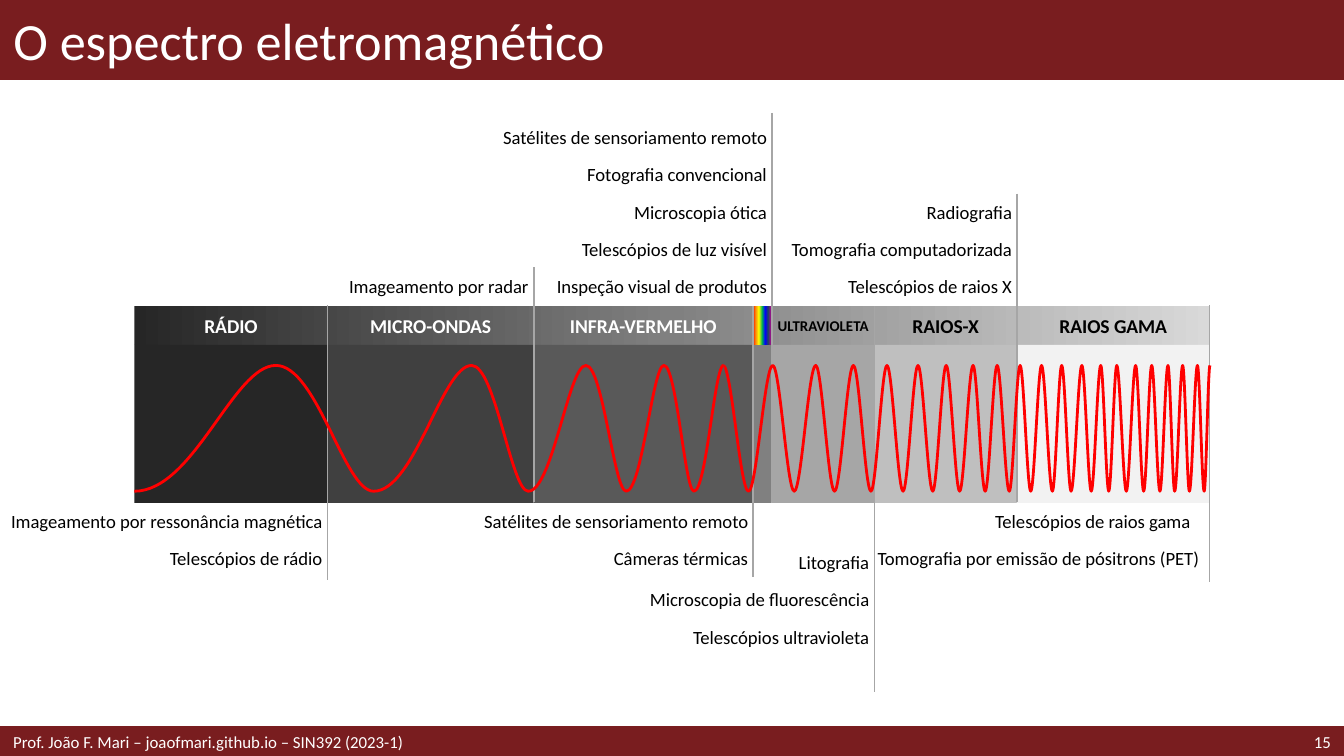
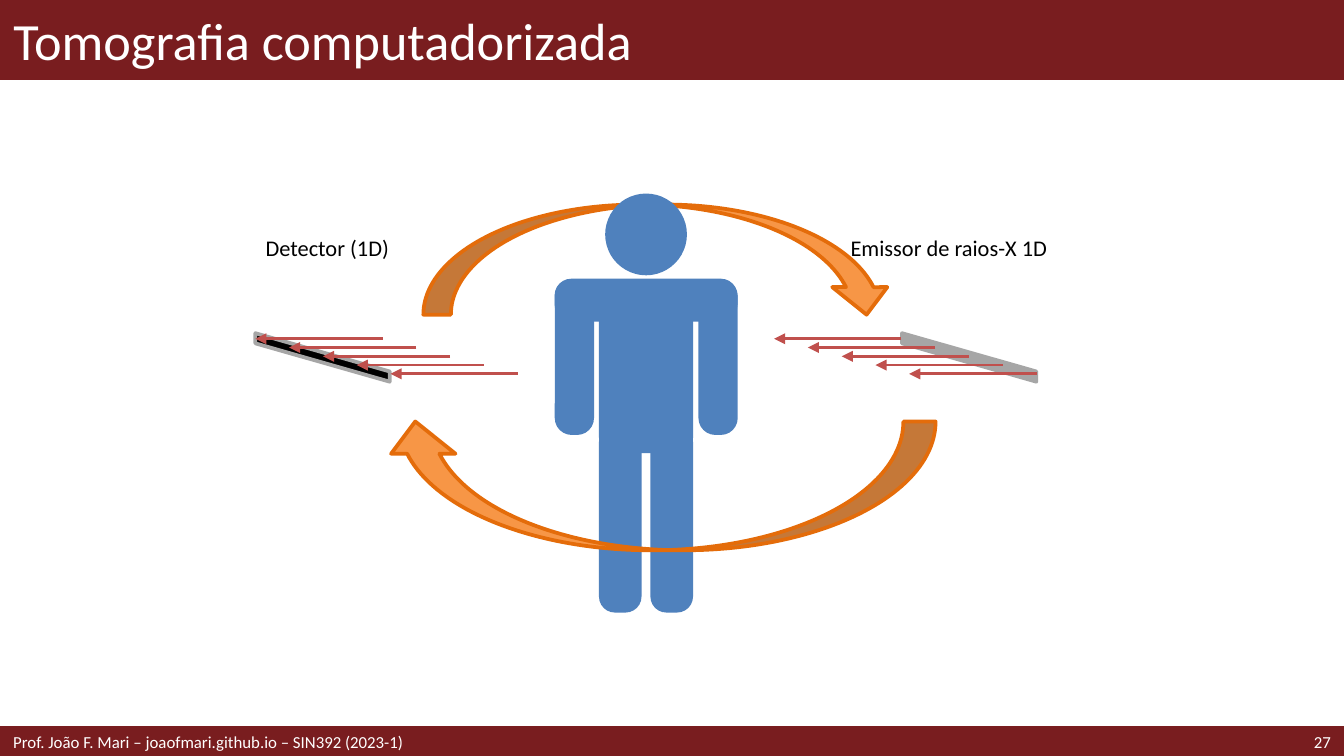
from dataclasses import dataclass
from itertools import pairwise

from lxml.etree import SubElement
from pptx import Presentation
from pptx.dml.color import RGBColor
from pptx.enum.shapes import MSO_CONNECTOR, MSO_SHAPE
from pptx.enum.text import MSO_ANCHOR, MSO_AUTO_SIZE, PP_ALIGN
from pptx.oxml.ns import qn
from pptx.util import Pt

FONT = "Calibri"
MAROON, WHITE, BLACK = "791D1F", "FFFFFF", "000000"
GRAY, DARK_GRAY, RED = "A6A6A6", "595959", "FF0000"
ORANGE, DARK_ORANGE, BLUE, RAY_RED = "F79646", "E46C0A", "4F81BD", "C0504D"
WIDTH, HEIGHT = 720, 405
TITLE_HEIGHT, FOOTER_TOP, FOOTER_HEIGHT = 42.5, 390, 15
FOOTER = "Prof. João F. Mari – joaofmari.github.io – SIN392 (2023-1)"

STRIP_TOP, STRIP_HEIGHT, BODY_TOP, BODY_HEIGHT = 163.8, 21, 184.8, 84.6
SPECTRUM_LEFT, SPECTRUM_RIGHT = 72, 648
WAVE_TOP, WAVE_BOTTOM = 195.8, 263.2
LABEL_HEIGHT, LABEL_STEP = 19.4, 19.95
STRIP_STOPS = [(0, "262626"), (50, "808080"), (100, "D9D9D9")]
RAINBOW_STOPS = [(0, "FF0000"), (16, "F9910C"), (32, "FFFF00"), (50, "00B050"),
                 (66, "0000FF"), (82, "233F61"), (100, "CC0099")]
LONG_WAVES = [72, 147.8, 200.2, 252.7, 283, 313.9, 335.5, 355.7, 371.8, 387.6]
SHORT_WAVES = [
    372.2, 387.4, 401, 414, 425.5, 437, 447.1, 457.2, 466.6, 475.2, 483.8,
    491.8, 499.7, 506.9, 514.1, 521.3, 527.8, 534.2, 540.7, 546.5, 552.2,
    558, 563.8, 568.8, 573.8, 579.6, 584.6, 589.7, 594, 598.3, 603.4, 608.4,
    612.7, 617, 621.4, 625.7, 629.3, 633.6, 637.2, 641.5, 645.1, 648.2,
]


@dataclass
class Band:
    """One range of the spectrum and the divider at its right edge."""
    name: str
    right: float
    fill: str
    color: str
    divider_top: float
    divider_bottom: float
    size: float = 10.5


@dataclass
class LabelStack:
    """Lines of (text, width) that share a right edge."""
    right: float
    top: float
    lines: list[tuple[str, float]]
    align: PP_ALIGN = PP_ALIGN.RIGHT


@dataclass
class Part:
    """One piece of the patient figure."""
    left: float
    top: float
    width: float
    height: float
    corner: float | None = None
    rotation: float = 0
    kind: MSO_SHAPE = MSO_SHAPE.ROUNDED_RECTANGLE


BANDS = [
    Band("RÁDIO", 175.5, "262626", WHITE, 163.5, 311),
    Band("MICRO-ONDAS", 286, "404040", WHITE, 143.2, 269.2),
    Band("INFRA-VERMELHO", 403.4, DARK_GRAY, WHITE, 164, 309),
    Band("", 413.5, "808080", WHITE, 60.5, 269.2),
    Band("ULTRAVIOLETA", 468.5, GRAY, BLACK, 164, 370.8, 8),
    Band("RAIOS-X", 544.8, "BFBFBF", BLACK, 103.8, 268.8),
    Band("RAIOS GAMA", SPECTRUM_RIGHT, "F2F2F2", BLACK, 163.5, 311.6),
]
STACKS = [
    LabelStack(175.5, 269.4, [("Imageamento por ressonância magnética", 175.5),
                              ("Telescópios de rádio", 150)]),
    LabelStack(286, 143.8, [("Imageamento por radar", 103.7)]),
    LabelStack(403.6, 269.7, [("Satélites de sensoriamento remoto", 149.8),
                              ("Câmeras térmicas", 79)]),
    LabelStack(413.7, 63.9, [("Satélites de sensoriamento remoto", 149.8),
                             ("Fotografia convencional", 103.7),
                             ("Microscopia ótica", 77.8),
                             ("Telescópios de luz visível", 110),
                             ("Inspeção visual de produtos", 119.5)]),
    LabelStack(468.5, 291.7, [("Litografia", 44),
                              ("Microscopia de fluorescência", 127.5),
                              ("Telescópios ultravioleta", 105)]),
    LabelStack(545, 103.8, [("Radiografia", 51.8),
                            ("Tomografia computadorizada", 129.6),
                            ("Telescópios de raios X", 95.8)]),
    LabelStack(648.2, 269.7, [("Telescópios de raios gama", 118),
                              ("Tomografia por emissão de pósitrons (PET)", 181)],
               PP_ALIGN.LEFT),
]
PATIENT = [
    Part(297.2, 149.8, 21, 83.2, 0.43),
    Part(334.6, 111.8, 23, 98, 0.39, 90),
    Part(374.2, 149.8, 21, 83.2, 0.43),
    Part(320.9, 149.8, 50.4, 93),
    Part(320.9, 228.2, 22.8, 100, 0.375),
    Part(324.2, 103.7, 43.8, 43.8, kind=MSO_SHAPE.OVAL),
    Part(348.5, 228.2, 22.8, 100, 0.375),
]


def rgb(color: str) -> RGBColor:
    """Turn a hex string into a colour."""
    return RGBColor.from_string(color)


def add_figure(page, kind: MSO_SHAPE, left: float, top: float, width: float,
               height: float, fill: str, line: str | None = None,
               weight: float = 2, rotation: float = 0):
    """Draw a flat preset shape."""
    shape = page.shapes.add_shape(kind, Pt(left), Pt(top), Pt(width), Pt(height))
    shape.shadow.inherit = False
    shape.fill.solid()
    shape.fill.fore_color.rgb = rgb(fill)
    if line:
        shape.line.color.rgb = rgb(line)
        shape.line.width = Pt(weight)
    else:
        shape.line.fill.background()
    shape.rotation = rotation
    return shape


def set_gradient(shape, stops: list[tuple[int, str]]) -> None:
    """Fill a shape with a left-to-right gradient."""
    shape.fill.gradient()
    shape.fill.gradient_angle = 0
    stop_list = shape.element.spPr.find(".//" + qn("a:gsLst"))
    for old_stop in list(stop_list):
        stop_list.remove(old_stop)
    for position, color in stops:
        stop = SubElement(stop_list, qn("a:gs"), pos=str(position * 1000))
        SubElement(stop, qn("a:srgbClr"), val=color)


def write(box, text: str, size: float, color: str,
          align: PP_ALIGN = PP_ALIGN.LEFT, bold: bool = False) -> None:
    """Put one formatted run into a text shape."""
    para = box.text_frame.paragraphs[0]
    para.alignment = align
    span = para.add_run()
    span.text = text
    span.font.name = FONT
    span.font.size = Pt(size)
    span.font.bold = bold
    span.font.color.rgb = rgb(color)


def add_text(page, text: str, left: float, top: float, width: float,
             height: float, size: float, color: str,
             align: PP_ALIGN = PP_ALIGN.LEFT, bold: bool = False,
             side: float = 7.2, edge: float = 3.6,
             anchor: MSO_ANCHOR = MSO_ANCHOR.MIDDLE):
    """Add a one-line text box."""
    box = page.shapes.add_textbox(Pt(left), Pt(top), Pt(width), Pt(height))
    frame = box.text_frame
    frame.word_wrap = True
    frame.vertical_anchor = anchor
    frame.margin_left = frame.margin_right = Pt(side)
    frame.margin_top = frame.margin_bottom = Pt(edge)
    write(box, text, size, color, align, bold)
    return box


def add_line(page, start: tuple[float, float], end: tuple[float, float],
             color: str, weight: float, arrow: bool = False) -> None:
    """Draw a straight line, with an arrowhead at its end if wanted."""
    line = page.shapes.add_connector(MSO_CONNECTOR.STRAIGHT,
                                     *map(Pt, start), *map(Pt, end))
    line.line.color.rgb = rgb(color)
    line.line.width = Pt(weight)
    if arrow:
        outline = line.element.spPr.find(qn("a:ln"))
        SubElement(outline, qn("a:tailEnd"), type="triangle")
    SubElement(line.element.spPr, qn("a:effectLst"))


def add_page(deck, title: str, number: int):
    """Add a page with the title band, the footer band and their text."""
    page = deck.slides.add_slide(deck.slide_layouts[5])
    bands = [add_figure(page, MSO_SHAPE.RECTANGLE, 0, 0, WIDTH, TITLE_HEIGHT,
                        MAROON, MAROON, 1),
             add_figure(page, MSO_SHAPE.RECTANGLE, 0, FOOTER_TOP, WIDTH,
                        FOOTER_HEIGHT, MAROON, MAROON)]
    box = page.shapes.title
    for band in bands:
        box.element.addprevious(band.element)
    box.left, box.top = Pt(0), Pt(0)
    box.width, box.height = Pt(WIDTH), Pt(TITLE_HEIGHT)
    box.text_frame.vertical_anchor = MSO_ANCHOR.MIDDLE
    box.text_frame.auto_size = MSO_AUTO_SIZE.NONE
    write(box, title, 28, WHITE)
    add_text(page, str(number), 638, FOOTER_TOP, 82, FOOTER_HEIGHT, 9, WHITE,
             PP_ALIGN.RIGHT)
    add_text(page, FOOTER, 0, FOOTER_TOP, 496, FOOTER_HEIGHT, 9, WHITE)
    return page


def add_wave(page, extremes: list[float], first: float, second: float) -> None:
    """Draw a smooth wave with level tangents at its troughs and crests."""
    points = [(Pt(x), Pt(WAVE_TOP if index % 2 else WAVE_BOTTOM))
              for index, x in enumerate(extremes)]
    builder = page.shapes.build_freeform(*points[0], scale=1.0)
    builder.add_line_segments(points[1:], close=False)
    wave = builder.convert_to_shape()
    wave.shadow.inherit = False
    wave.fill.background()
    wave.line.color.rgb = rgb(RED)
    wave.line.width = Pt(1.5)
    outline = wave.element.spPr.find(".//" + qn("a:pathLst"))[0]
    corners = [(int(corner.get("x")), int(corner.get("y")))
               for corner in outline.iter(qn("a:pt"))]
    for segment in outline.findall(qn("a:lnTo")):
        outline.remove(segment)
    for (left, start), (right, end) in pairwise(corners):
        curve = SubElement(outline, qn("a:cubicBezTo"))
        span = right - left
        for x, y in ((left + span * first, start),
                     (left + span * second, end), (right, end)):
            SubElement(curve, qn("a:pt"), x=str(round(x)), y=str(y))


def add_stack(page, stack: LabelStack) -> None:
    """Write the uses of one band, line below line."""
    for row, (text, width) in enumerate(stack.lines):
        box = add_text(page, text, stack.right - width,
                       stack.top + row * LABEL_STEP, width, LABEL_HEIGHT, 10,
                       BLACK, stack.align, side=2.9, anchor=MSO_ANCHOR.TOP)
        box.text_frame.word_wrap = False
        box.text_frame.auto_size = MSO_AUTO_SIZE.SHAPE_TO_FIT_TEXT


def build_spectrum(deck) -> None:
    """Build the electromagnetic spectrum page."""
    page = add_page(deck, "O espectro eletromagnético", 15)
    strip = add_figure(page, MSO_SHAPE.RECTANGLE, SPECTRUM_LEFT, STRIP_TOP,
                       SPECTRUM_RIGHT - SPECTRUM_LEFT, STRIP_HEIGHT, GRAY)
    set_gradient(strip, STRIP_STOPS)
    left = SPECTRUM_LEFT
    for band in BANDS:
        width = band.right - left
        add_figure(page, MSO_SHAPE.RECTANGLE, left, BODY_TOP, width,
                   BODY_HEIGHT, band.fill)
        if band.name:
            add_text(page, band.name, left, STRIP_TOP, width, STRIP_HEIGHT,
                     band.size, band.color, PP_ALIGN.CENTER, True, side=0)
        else:
            rainbow = add_figure(page, MSO_SHAPE.RECTANGLE, left, STRIP_TOP,
                                 width, STRIP_HEIGHT, RED)
            set_gradient(rainbow, RAINBOW_STOPS)
        left = band.right
    for band in BANDS:
        add_line(page, (band.right, band.divider_top),
                 (band.right, band.divider_bottom), GRAY, 0.75)
    add_wave(page, SHORT_WAVES, 0.33, 0.67)
    add_figure(page, MSO_SHAPE.RECTANGLE, 307.4, WAVE_TOP, 80.6, 68.4, DARK_GRAY)
    add_wave(page, LONG_WAVES, 0.42, 0.7)
    for stack in STACKS:
        add_stack(page, stack)


def add_ray_plate(page, left: float, fill: str, ray_left: float) -> None:
    """Draw a slanted plate and its five parallel rays."""
    plate = add_figure(page, MSO_SHAPE.PARALLELOGRAM, left, 155.5, 26, 72,
                       fill, GRAY, rotation=90)
    plate.adjustments[0] = 0.79
    for index in range(5):
        tip, level = ray_left + index * 18.1, 181.5 + index * 4.7
        add_line(page, (tip + 68.2, level), (tip, level), RAY_RED, 1.5, True)


def build_tomography(deck) -> None:
    """Build the computed tomography page."""
    page = add_page(deck, "Tomografia computadorizada", 27)
    add_figure(page, MSO_SHAPE.CURVED_DOWN_ARROW, 226.8, 109.6, 252.2, 59,
               ORANGE, DARK_ORANGE)
    for part in PATIENT:
        shape = add_figure(page, part.kind, part.left, part.top, part.width,
                           part.height, BLUE, rotation=part.rotation)
        if part.corner:
            shape.adjustments[0] = part.corner
    add_ray_plate(page, 506.2, GRAY, 414.7)
    add_ray_plate(page, 159.8, BLACK, 136.8)
    for text, left, width in (("Emissor de raios-X 1D", 448.6, 136),
                              ("Detector (1D)", 135.2, 147.6)):
        add_text(page, text, left, 125.6, width, 15, 12, BLACK, edge=0,
                 anchor=MSO_ANCHOR.TOP)
    add_figure(page, MSO_SHAPE.CURVED_DOWN_ARROW, 205.2, 225.8, 296, 69,
               ORANGE, DARK_ORANGE, rotation=180)


def main() -> None:
    """Build the deck and save it."""
    deck = Presentation()
    deck.slide_width, deck.slide_height = Pt(WIDTH), Pt(HEIGHT)
    build_spectrum(deck)
    build_tomography(deck)
    deck.save("out.pptx")


if __name__ == "__main__":
    main()
